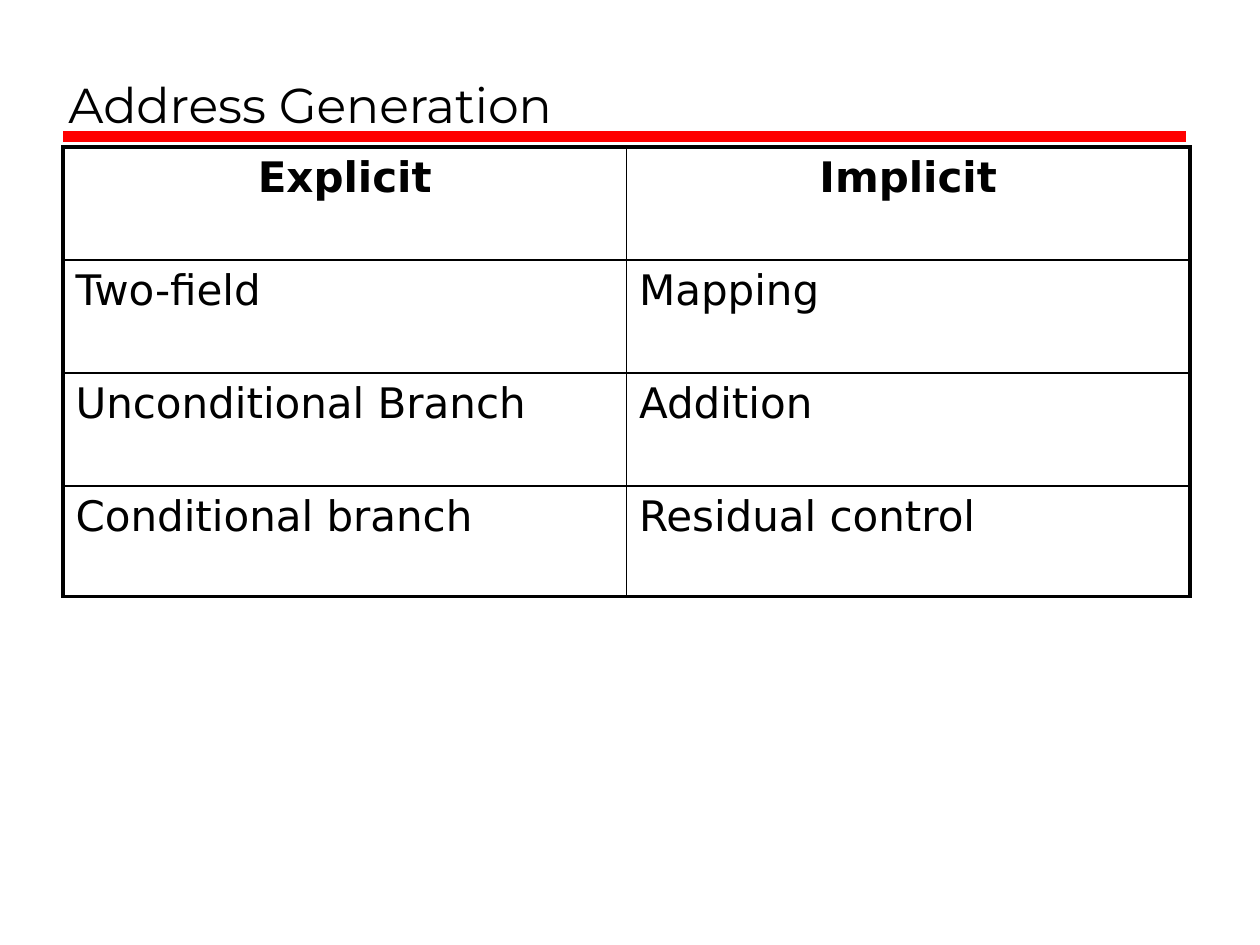
from lxml import etree
from pptx import Presentation
from pptx.dml.color import RGBColor
from pptx.enum.shapes import MSO_CONNECTOR
from pptx.enum.text import MSO_ANCHOR, PP_ALIGN
from pptx.oxml.ns import qn
from pptx.util import Pt

STRAIGHT = MSO_CONNECTOR.STRAIGHT
BOTTOM = MSO_ANCHOR.BOTTOM
LEFT, CENTER = PP_ALIGN.LEFT, PP_ALIGN.CENTER


def color(hex_value):
    return RGBColor.from_string(hex_value)


class SlideBuilder:
    TITLE_FONT, BODY_FONT = "Montserrat", "DejaVu Sans"
    TITLE_SIZE, BODY_SIZE = 28, 24
    INK, RULE = "000000", "FF0000"
    OUTER_BORDER, INNER_BORDER = 2.25, 1

    def __init__(self, slide):
        self.slide = slide

    def format_paragraph(self, paragraph, font_name, size, bold=False, align=LEFT):
        paragraph.alignment = align
        for run in paragraph.runs:
            run.font.name = font_name
            run.font.size = Pt(size)
            run.font.bold = bold
            run.font.color.rgb = color(self.INK)

    def title(self, text, left, top, width, height):
        shape = self.slide.shapes.add_textbox(Pt(left), Pt(top), Pt(width), Pt(height))
        text_frame = shape.text_frame
        text_frame.word_wrap = True
        text_frame.vertical_anchor = BOTTOM
        text_frame.margin_bottom = Pt(2)
        text_frame.text = text
        self.format_paragraph(text_frame.paragraphs[0], self.TITLE_FONT, self.TITLE_SIZE)

    def rule(self, left, right, y, weight):
        connector = self.slide.shapes.add_connector(
            STRAIGHT, Pt(left), Pt(y), Pt(right), Pt(y))
        connector.line.color.rgb = color(self.RULE)
        connector.line.width = Pt(weight)
        etree.SubElement(connector._element.spPr, qn("a:effectLst"))

    def cell_borders(self, cell, outer_sides):
        """Draw all four borders, heavier on the sides at the table's edge."""
        properties = cell._tc.get_or_add_tcPr()
        for side in "LRTB":
            weight = self.OUTER_BORDER if side in outer_sides else self.INNER_BORDER
            line = etree.SubElement(properties, qn(f"a:ln{side}"), w=str(Pt(weight)))
            fill = etree.SubElement(line, qn("a:solidFill"))
            etree.SubElement(fill, qn("a:srgbClr"), val=self.INK)

    def table(self, rows, left, top, width, row_heights):
        row_count, column_count = len(rows), len(rows[0])
        frame = self.slide.shapes.add_table(
            row_count, column_count, Pt(left), Pt(top), Pt(width), Pt(sum(row_heights)))
        table = frame.table
        table.first_row = table.horz_banding = False
        for column in table.columns:
            column.width = Pt(width / column_count)
        for r, (texts, height) in enumerate(zip(rows, row_heights)):
            table.rows[r].height = Pt(height)
            for c, text in enumerate(texts):
                cell = table.cell(r, c)
                edges = {"L": c == 0, "R": c == column_count - 1,
                         "T": r == 0, "B": r == row_count - 1}
                self.cell_borders(cell, [side for side in edges if edges[side]])
                cell.fill.background()
                cell.text_frame.text = text
                self.format_paragraph(
                    cell.text_frame.paragraphs[0], self.BODY_FONT, self.BODY_SIZE,
                    bold=r == 0, align=CENTER if r == 0 else LEFT)


def main():
    presentation = Presentation()
    presentation.slide_width, presentation.slide_height = Pt(720), Pt(540)
    builder = SlideBuilder(presentation.slides.add_slide(presentation.slide_layouts[6]))

    builder.rule(left=36, right=678, y=78, weight=6)
    builder.title("Address Generation", left=32, top=12, width=646, height=66.5)
    builder.table(
        [("Explicit", "Implicit"),
         ("Two-field", "Mapping"),
         ("Unconditional Branch", "Addition"),
         ("Conditional branch", "Residual control")],
        left=36, top=84, width=644, row_heights=[64.6, 64.6, 64.6, 63.2])

    presentation.save("out.pptx")


if __name__ == "__main__":
    main()
